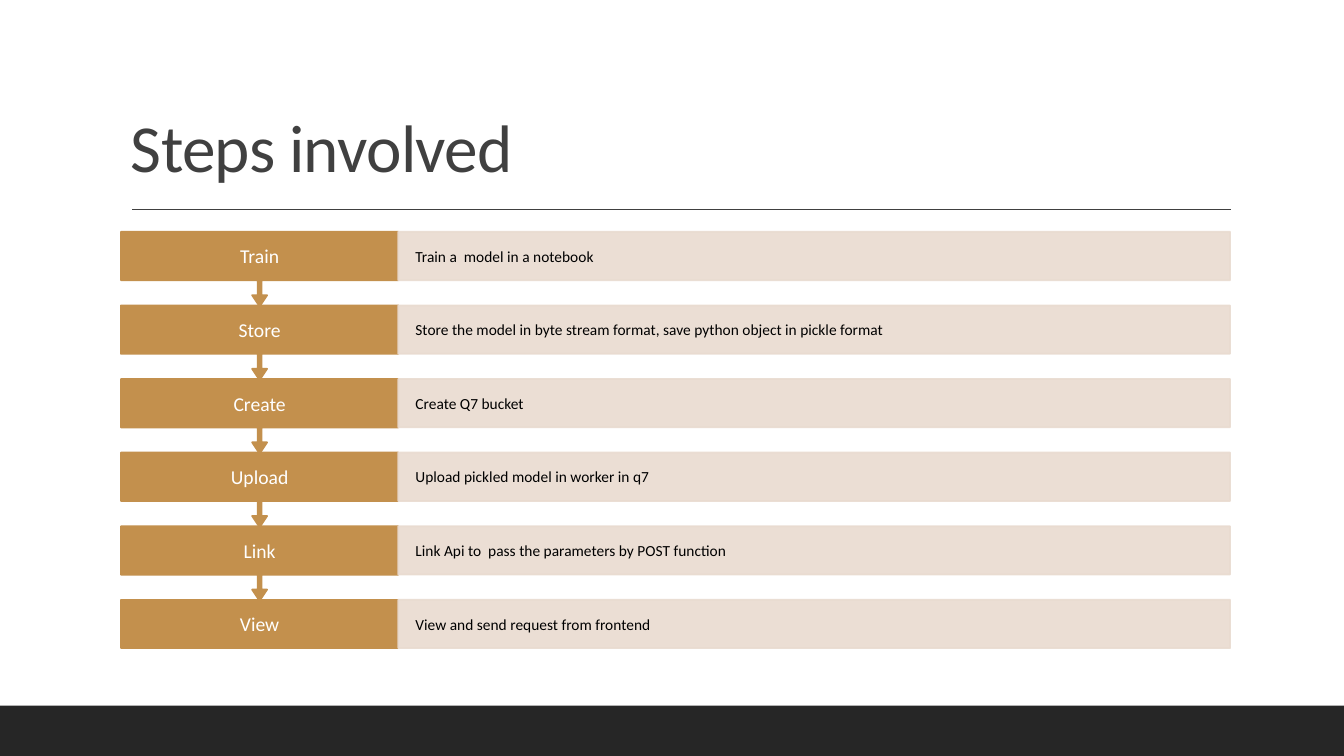
from lxml.etree import SubElement
from pptx import Presentation
from pptx.dml.color import RGBColor
from pptx.enum.shapes import MSO_CONNECTOR, MSO_SHAPE
from pptx.enum.text import MSO_ANCHOR, PP_ALIGN
from pptx.oxml.ns import qn
from pptx.util import Inches, Pt

FONT = "Calibri"
DARK, GREY, GOLD, SAND = "262626", "404040", "C3904D", "E9DBD0"
WHITE, BLACK = "FFFFFF", "000000"

STEPS = [
    ("Train", "Train a  model in a notebook"),
    ("Store", "Store the model in byte stream format, save python object in pickle format"),
    ("Create", "Create Q7 bucket"),
    ("Upload", "Upload pickled model in worker in q7"),
    ("Link", "Link Api to  pass the parameters by POST function"),
    ("View", "View and send request from frontend"),
]
LEFT, TOP, PITCH = 1.2, 2.3, 0.73
NAME_WIDTH, DETAIL_WIDTH = 2.75, 8.25
BOX_HEIGHT, CALLOUT_HEIGHT = 0.48, 0.74
CALLOUT_ADJUSTMENTS = (0.05, 0.1, 0.15, 0.65)


def paint(color_format, color, opacity=100):
    color_format.fill.solid()
    color_format.fill.fore_color.rgb = RGBColor.from_string(color)
    if opacity < 100:
        # Both fills and outlines hold their colour in an a:srgbClr element.
        for element in color_format.fill._xPr.findall(qn("a:solidFill") + "/" + qn("a:srgbClr")):
            SubElement(element, qn("a:alpha"), val=str(opacity * 1000))


def add_box(slide, kind, left, top, width, height, color, opacity=100, outlined=True):
    shape = slide.shapes.add_shape(
        kind, Inches(left), Inches(top), Inches(width), Inches(height))
    shape.shadow.inherit = False
    paint(shape, color, opacity)
    if outlined:
        paint(shape.line, color, opacity)
        shape.line.width = Pt(1.25)
    else:
        shape.line.fill.background()
    return shape


def write(shape, text, size, color, align=PP_ALIGN.LEFT, anchor=MSO_ANCHOR.MIDDLE,
          margins=(0.1, 0.05)):
    """Fill the shape with one paragraph; margins are (horizontal, vertical)."""
    frame = shape.text_frame
    frame.word_wrap = True
    frame.vertical_anchor = anchor
    frame.margin_left = frame.margin_right = Inches(margins[0])
    frame.margin_top = frame.margin_bottom = Inches(margins[1])
    paragraph = frame.paragraphs[0]
    paragraph.alignment = align
    run = paragraph.add_run()
    run.text = text
    font = paragraph.font
    font.name, font.size = FONT, Pt(size)
    font.color.rgb = RGBColor.from_string(color)
    return paragraph


def add_title(slide, text):
    box = slide.shapes.add_textbox(Inches(1.2), Inches(0.31), Inches(11), Inches(1.59))
    paragraph = write(box, text, 48, GREY, anchor=MSO_ANCHOR.BOTTOM)
    paragraph.line_spacing = 0.9
    paragraph.runs[0].font._element.set("spc", "-50")


def add_rule(slide):
    rule = slide.shapes.add_connector(
        MSO_CONNECTOR.STRAIGHT, Inches(1.31), Inches(2.08), Inches(12.21), Inches(2.08))
    paint(rule.line, GREY)
    rule.line.width = Pt(1)
    SubElement(rule._element.spPr, qn("a:effectLst"))


def add_step(slide, top, name, detail, is_last):
    if is_last:
        name_box = add_box(slide, MSO_SHAPE.RECTANGLE, LEFT, top,
                           NAME_WIDTH, BOX_HEIGHT, GOLD)
    else:
        name_box = add_box(slide, MSO_SHAPE.DOWN_ARROW_CALLOUT, LEFT, top,
                           NAME_WIDTH, CALLOUT_HEIGHT, GOLD)
        for index, value in enumerate(CALLOUT_ADJUSTMENTS):
            name_box.adjustments[index] = value
    write(name_box, name, 14, WHITE, PP_ALIGN.CENTER, margins=(0.2, 0.11))
    detail_box = add_box(slide, MSO_SHAPE.RECTANGLE, LEFT + NAME_WIDTH, top,
                         DETAIL_WIDTH, BOX_HEIGHT, SAND, opacity=90)
    write(detail_box, detail, 11, BLACK, margins=(0.17, 0.15))


def main():
    presentation = Presentation()
    presentation.slide_width, presentation.slide_height = Inches(13.33), Inches(7.5)
    slide = presentation.slides.add_slide(presentation.slide_layouts[6])
    add_box(slide, MSO_SHAPE.RECTANGLE, 0, 7, 13.33, 0.5, DARK, outlined=False)
    add_rule(slide)
    add_title(slide, "Steps involved")
    for index, (name, detail) in enumerate(STEPS):
        add_step(slide, TOP + index * PITCH, name, detail, index == len(STEPS) - 1)
    presentation.save("out.pptx")


if __name__ == "__main__":
    main()
